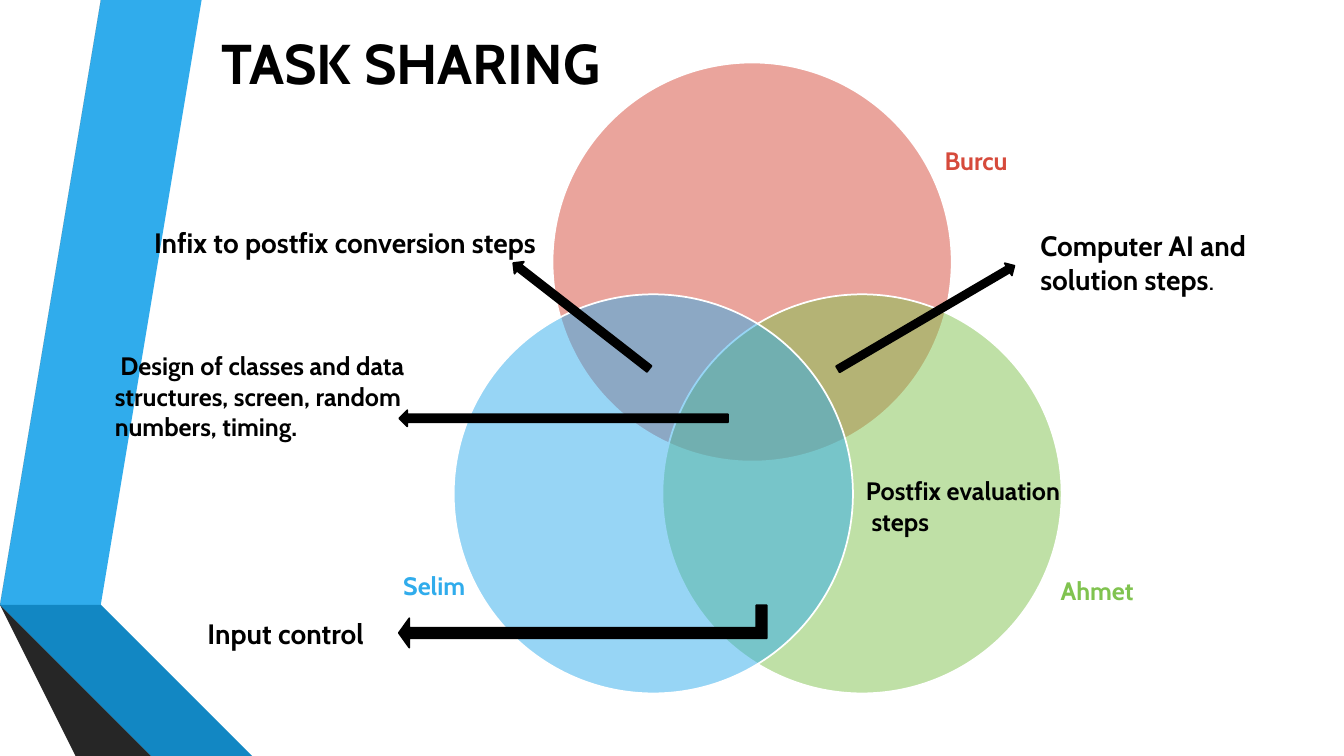
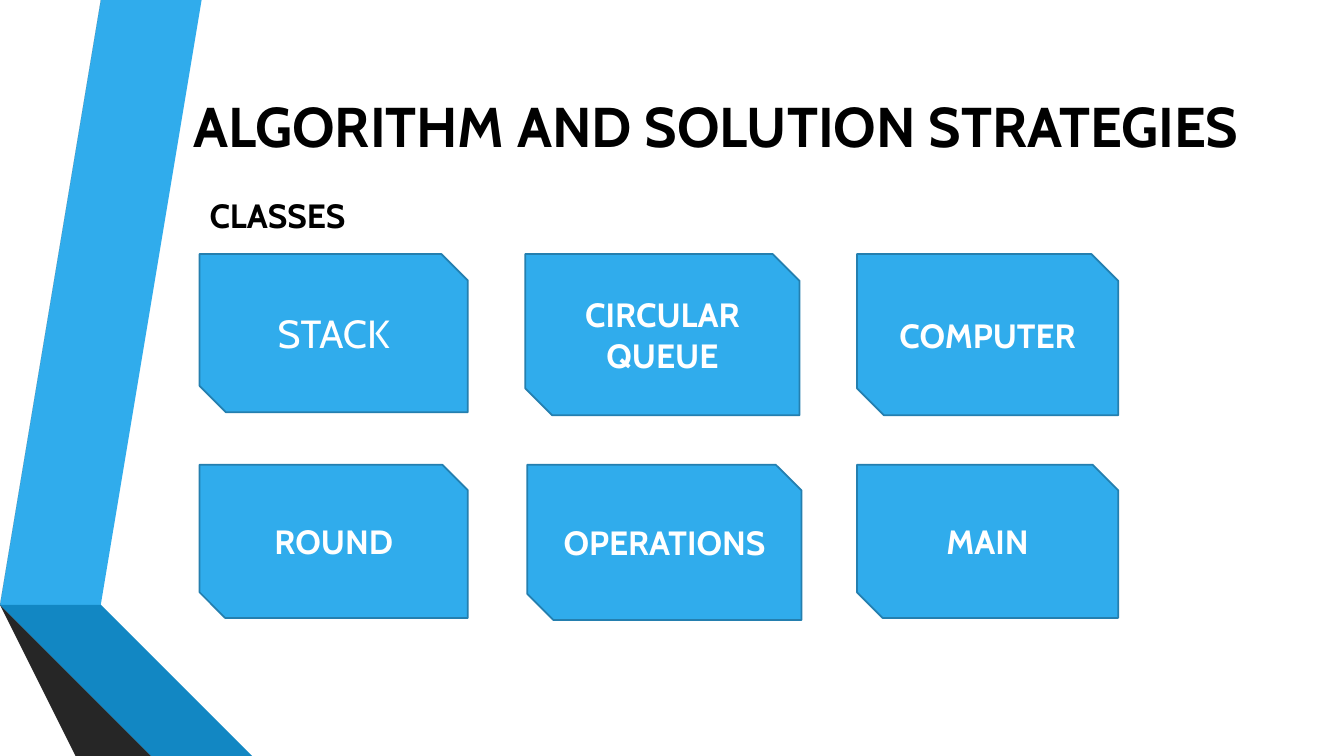
from lxml.etree import SubElement
from pptx import Presentation
from pptx.dml.color import RGBColor
from pptx.enum.shapes import MSO_SHAPE as Shape
from pptx.enum.text import MSO_ANCHOR as Anchor, MSO_AUTO_SIZE as Fit, PP_ALIGN as Align
from pptx.oxml.ns import qn
from pptx.util import Inches, Pt

FONT = "Cabin"
WIDE, HIGH = 13.33, 7.5
BLACK = RGBColor(0x00, 0x00, 0x00)
WHITE = RGBColor(0xFF, 0xFF, 0xFF)
BLUE = RGBColor(0x30, 0xAC, 0xEC)
RED = RGBColor(0xD6, 0x4A, 0x3B)
GREEN = RGBColor(0x80, 0xC3, 0x4F)
EDGE = RGBColor(0x24, 0x7F, 0xAF)
OCEAN = RGBColor(0x12, 0x87, 0xC3)
NAVY = RGBColor(0x0C, 0x5A, 0x82)
GREY = RGBColor(0x59, 0x59, 0x59)
DARK = RGBColor(0x40, 0x40, 0x40)
COAL = RGBColor(0x26, 0x26, 0x26)

# The folded ribbons at the left: colour, corner points
BANDS = [
    (BLUE, [(0.5, 5.78), (0.77, 5.83), (1.73, 0), (1.45, 0)]),
    (GREY, [(1.39, 0), (1.11, 0), (0.16, 5.73), (0.44, 5.77)]),
    (COAL, [(0.16, 5.73), (1.45, HIGH), (1.51, HIGH)]),
    (NAVY, [(0.5, 5.79), (2.08, HIGH), (2.14, HIGH)]),
    (OCEAN, [(0.5, 5.79), (2.14, HIGH), (2.83, HIGH), (0.77, 5.83), (0.5, 5.78)]),
    (DARK, [(2.02, HIGH), (0.48, 5.83), (0.43, 5.77), (0.16, 5.73), (1.51, HIGH)]),
]

# Venn circles: colour, left, top
DISC = 3.96
DISCS = [(RED, 5.48, 0.62), (GREEN, 6.57, 2.92), (BLUE, 4.5, 2.92)]

# Straight arrows: box, turn in degrees
ARROWS = [
    ((3.96, 4.07, 3.26, 0.16), 0),
    ((8.17, 3.08, 2.03, 0.14), 149.6),
    ((4.91, 3.06, 1.71, 0.15), 37.9),
]
BEND = (5.57, 4.39, 0.42, 3.65)

# Labels: lines, box, size, colour
TASKS = [
    (["Computer AI and", "solution steps"], (10.22, 2.22, 2.3, 0.77), 20, BLACK),
    (["Input control"], (1.96, 6.07, 1.83, 0.44), 20, BLACK),
    (["Infix to postfix conversion steps"], (1.43, 2.19, 4.1, 0.44), 20, BLACK),
    (["Postfix evaluation", " steps"], (8.49, 4.67, 2.17, 0.71), 18, BLACK),
    (["Ahmet"], (10.42, 5.66, 0.95, 0.4), 18, GREEN),
    (["Burcu"], (9.27, 1.39, 0.83, 0.4), 18, RED),
    (["Selim"], (3.9, 5.61, 0.82, 0.4), 18, BLUE),
]
DESIGN = " Design of classes and data structures, screen, random numbers, timing."

# Class cards: top of the row, then label, left, height
WIDTHS = [2.66, 2.72, 2.59]
ROWS = [
    (2.52, [("STACK", 1.98, 1.57), ("CIRCULAR QUEUE", 5.21, 1.6), ("COMPUTER", 8.5, 1.6)]),
    (4.61, [("ROUND", 1.98, 1.52), ("OPERATIONS", 5.23, 1.54), ("MAIN", 8.5, 1.52)]),
]


def inch(box):
    return [Inches(n) for n in box]


def style(run, size, color, bold=True):
    font = run.font
    font.name, font.size, font.bold = FONT, Pt(size), bold
    font.color.rgb = color


def paint(shape, fill, line=None):
    shape.shadow.inherit = False
    shape.fill.solid()
    shape.fill.fore_color.rgb = fill
    if line is None:
        shape.line.fill.background()
    else:
        shape.line.color.rgb = line
        shape.line.width = Pt(1.25)


def add(slide, kind, box, fill, line):
    shape = slide.shapes.add_shape(kind, *inch(box))
    paint(shape, fill, line)
    return shape


def label(slide, lines, box, size, color, wrap=False):
    frame = slide.shapes.add_textbox(*inch(box)).text_frame
    frame.word_wrap = wrap
    frame.auto_size = Fit.SHAPE_TO_FIT_TEXT
    frame.text = "\n".join(lines)
    for para in frame.paragraphs:
        style(para.runs[0], size, color)
    return frame


def start(deck, text, box):
    """Add a slide with its title in place."""
    slide = deck.slides.add_slide(deck.slide_layouts[5])
    title = slide.shapes.title
    title.left, title.top, title.width, title.height = inch(box)
    frame = title.text_frame
    frame.text = text
    frame.word_wrap = True
    frame.auto_size = Fit.NONE
    frame.vertical_anchor = Anchor.MIDDLE
    frame.paragraphs[0].alignment = Align.CENTER
    style(frame.paragraphs[0].runs[0], 40, BLACK)
    return slide


def ribbons(slide):
    """Draw the bands and hand them to the layout, which all slides share."""
    for color, (first, *rest) in BANDS:
        pen = slide.shapes.build_freeform(*first, scale=Inches(1))
        pen.add_line_segments(rest, close=True)
        band = pen.convert_to_shape()
        paint(band, color)
        slide.slide_layout.shapes.element.append(band.element)


def sharing(deck):
    slide = start(deck, "TASK SHARING", (1.82, 0.23, 4.51, 0.77))
    ribbons(slide)
    for color, left, top in DISCS:
        disc = add(slide, Shape.OVAL, (left, top, DISC, DISC), color, WHITE)
        tint = disc.element.spPr.find(qn("a:solidFill"))[0]
        SubElement(tint, qn("a:alpha")).set("val", "50000")
    for box, turn in ARROWS:
        add(slide, Shape.LEFT_ARROW, box, BLACK, BLACK).rotation = turn
    bend = add(slide, Shape.BENT_UP_ARROW, BEND, BLACK, BLACK)
    bend.rotation = 90
    bend.element.spPr.find(qn("a:xfrm")).set("flipV", "1")
    bend.adjustments[1] = 0.347
    frames = [label(slide, *task) for task in TASKS]
    dot = frames[0].paragraphs[1].add_run()
    dot.text = "."
    style(dot, 20, BLACK, False)
    label(slide, [DESIGN], (1.04, 3.43, 3.66, 1.01), 18, BLACK, True)


def classes(deck):
    slide = start(deck, "ALGORITHM AND SOLUTION STRATEGIES", (1.62, 0.75, 10.96, 0.99))
    for top, cards in ROWS:
        for width, (name, left, height) in zip(WIDTHS, cards):
            card = add(slide, Shape.SNIP_2_DIAG_RECTANGLE, (left, top, width, height), BLUE, EDGE)
            frame = card.text_frame
            frame.text = name
            frame.word_wrap = True
            frame.vertical_anchor = Anchor.MIDDLE
            para = frame.paragraphs[0]
            para.alignment = Align.CENTER
            lead = name == "STACK"
            style(para.runs[0], 28 if lead else 24, WHITE, not lead)
    label(slide, ["CLASSES"], (1.98, 1.88, 1.57, 0.5), 24, BLACK)


def main():
    deck = Presentation()
    deck.slide_width, deck.slide_height = inch((WIDE, HIGH))
    sharing(deck)
    classes(deck)
    deck.save("out.pptx")


if __name__ == "__main__":
    main()
